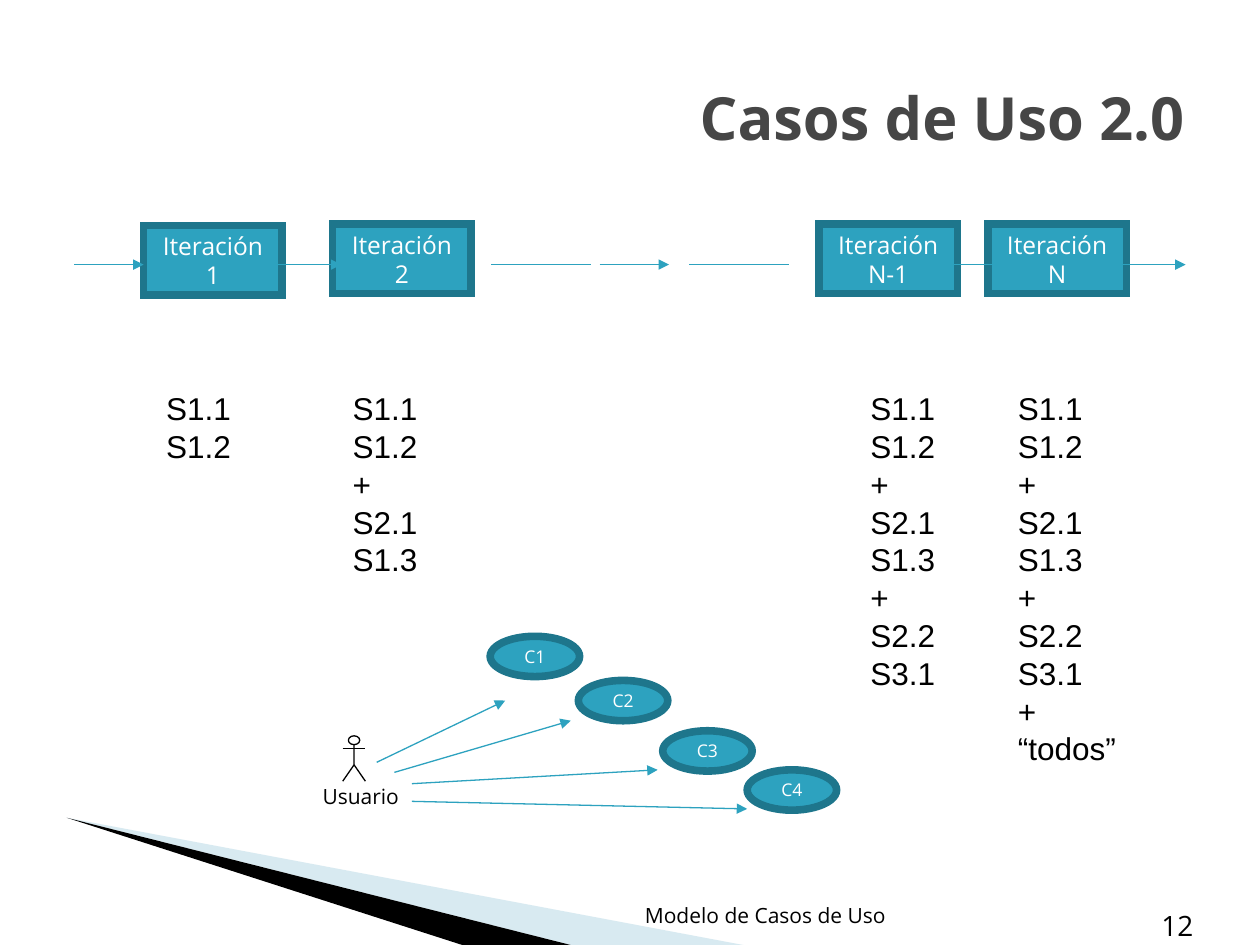
from pptx import Presentation
from pptx.util import Inches, Pt
from pptx.dml.color import RGBColor
from pptx.enum.shapes import MSO_SHAPE as SHAPE, MSO_CONNECTOR as CONN
from pptx.enum.text import PP_ALIGN as AL, MSO_ANCHOR as ANC, MSO_AUTO_SIZE as AUTO
from pptx.oxml.ns import qn
from lxml.etree import SubElement

W, H = 10, 7.5
TEAL, DARK, BLACK, WHITE = "2DA2BF", "1E768C", "000000", "FFFFFF"


def rgb(c):
    return RGBColor.from_string(c)


def write(shape, text, size=18, font="Open Sans", color=BLACK, bold=False,
          align=AL.LEFT, anchor=ANC.TOP, inset=(0.1, 0.05), wrap=True):
    """One paragraph per line; a vertical tab breaks a line inside a paragraph."""
    tf = shape.text_frame
    tf.word_wrap, tf.auto_size, tf.vertical_anchor = wrap, AUTO.NONE, anchor
    tf.margin_left = tf.margin_right = Inches(inset[0])
    tf.margin_top = tf.margin_bottom = Inches(inset[1])
    tf.text = text
    for p in tf.paragraphs:
        p.alignment = align
        for r in p.runs:
            r.font.size, r.font.name, r.font.bold = Pt(size), font, bold
            r.font.color.rgb = rgb(color)


def label(shapes, box, text, **fmt):
    write(shapes.add_textbox(*map(Inches, box)), text, **fmt)


def node(shapes, kind, box, text, size):
    sp = shapes.add_shape(kind, *map(Inches, box))
    sp.shadow.inherit = False
    sp.fill.solid()
    sp.fill.fore_color.rgb = rgb(TEAL)
    sp.line.color.rgb, sp.line.width = rgb(DARK), Pt(4.33)
    # Square corners on the thick border
    SubElement(sp._element.spPr.find(qn("a:ln")), qn("a:miter"), lim="800000")
    write(sp, text, size=size, color=WHITE, align=AL.CENTER, anchor=ANC.MIDDLE)


def line(shapes, start, end, color=TEAL, arrow=False):
    cn = shapes.add_connector(CONN.STRAIGHT, *map(Inches, (*start, *end)))
    cn.line.color.rgb, cn.line.width = rgb(color), Pt(0.75)
    pr = cn._element.spPr
    if arrow:
        SubElement(pr.find(qn("a:ln")), qn("a:tailEnd"), type="triangle")
    SubElement(pr, qn("a:effectLst"))


def outline(shapes, points, close=True):
    first, *rest = [(Inches(x), Inches(y)) for x, y in points]
    fb = shapes.build_freeform(*first)
    fb.add_line_segments(rest, close=close)
    sp = fb.convert_to_shape()
    sp.shadow.inherit = False
    return sp


def wedge(shapes, points, color, alpha=None):
    sp = outline(shapes, points)
    sp.fill.solid()
    sp.fill.fore_color.rgb = rgb(color)
    sp.line.fill.background()
    if alpha:
        clr = sp._element.spPr.find(qn("a:solidFill"))[0]
        SubElement(clr, qn("a:alpha"), val=str(alpha * 1000))


def backdrop(shapes, x, y):
    """Corner wedges that fan out from one point to the slide's bottom edge."""
    wedge(shapes, [(x, y), (5.9, H), (4.53, H)], "9FCBDC", alpha=40)
    wedge(shapes, [(x, y), (4.53, H), (3.67, H)], BLACK)


def timeline(shapes, x, y, w, h):
    """Iteration boxes along an axis, with arrows and gaps between them."""
    for dx, dy, name in ((0.55, 0.01, "1"), (2.05, 0, "2"), (5.91, 0, "N-1"), (7.25, 0, "N")):
        node(shapes, SHAPE.RECTANGLE, (x + dx, y + dy, 1.1, h), f"Iteración\v{name}", 14)
    axis = y + 0.32
    arrow, dash = 0.55, 0.79
    for dx in (0, 1.57, 4.17, 6.85, w - arrow):
        line(shapes, (x + dx, axis), (x + dx + arrow, axis), arrow=True)
    for dx in (3.31, 4.88):
        line(shapes, (x + dx, axis), (x + dx + dash, axis))


def slices(shapes, y):
    """Each column shows the first so many items of the same growing list."""
    items = ["S1.1", "S1.2", "+", "S2.1", "S1.3", "+", "S2.2", "S3.1", "+", "“todos”"]
    for x, w, count in ((1.22, 0.72, 2), (2.7, 0.72, 5), (6.81, 0.72, 8), (7.98, 0.99, 10)):
        label(shapes, (x, y, w, 0.1 + 0.3 * count), "\n".join(items[:count]),
              font="Arial", wrap=False)


def actor(shapes, x, y, w, h):
    """Stick figure in the box, with its name below."""
    g = shapes.add_group_shape().shapes
    mid, neck, hip, foot = x + w / 2, y + 0.07, y + 0.23, y + h
    head = g.add_shape(SHAPE.OVAL, *map(Inches, (x + w / 4, y, w / 2, neck - y)))
    head.shadow.inherit = False
    head.fill.solid()
    head.fill.fore_color.rgb = rgb(WHITE)
    body = outline(g, [(mid, neck), (mid, hip), (x, foot)], close=False)
    body.fill.background()
    for sp in (head, body):
        sp.line.color.rgb, sp.line.width = rgb(BLACK), Pt(0.75)
    line(g, (x, y + 0.1), (x + w, y + 0.1), BLACK)
    line(g, (mid, hip), (x + w, foot), BLACK)
    label(g, (x - 0.16, foot + 0.02, 0.62, 0.2), "Usuario", size=12, inset=(0, 0), wrap=False)


def use_cases(shapes, x, y):
    """Cases stepping down to the right, each reached by an arrow from the actor."""
    for i, (dx, dy) in enumerate(((0, 0), (0.7, 0.35), (1.37, 0.75), (2.04, 1.06)), 1):
        node(shapes, SHAPE.OVAL, (x + dx, y + dy, 0.71, 0.32), f"C{i}", 10)
    actor(shapes, x - 1.17, y + 0.79, 0.18, 0.36)
    for start, end in (((-0.9, 1), (0.12, 0.51)), ((-0.76, 1.08), (0.64, 0.67)),
                       ((-0.62, 1.17), (1.33, 1.06)), ((-0.62, 1.31), (2.04, 1.37))):
        line(shapes, (x + start[0], y + start[1]), (x + end[0], y + end[1]), arrow=True)


def heading(title, box):
    title.left, title.top, title.width, title.height = map(Inches, box)
    write(title, "Casos de Uso 2.0", size=34, color="464646", bold=True,
          align=AL.RIGHT, anchor=ANC.MIDDLE)


def footer(shapes, w, h):
    label(shapes, (7, 7.13, w, h), "12", size=16, align=AL.RIGHT, anchor=ANC.BOTTOM)
    label(shapes, (4.79, 7.01, w, h), "Modelo de Casos de Uso", size=12,
          align=AL.CENTER, anchor=ANC.BOTTOM)


def main():
    prs = Presentation()
    prs.slide_width, prs.slide_height = Inches(W), Inches(H)
    s = prs.slides.add_slide(prs.slide_layouts[5])
    backdrop(s.shapes, 0.53, 6.49)
    heading(s.shapes.title, (0.05 * W, 0.04 * H, 0.9 * W, 1.25))
    footer(s.shapes, 2.57, 0.4)
    timeline(s.shapes, 0.59, 1.78, 8.82, 0.55)
    use_cases(s.shapes, 3.89, 5.05)
    slices(s.shapes, 3.04)
    prs.save("out.pptx")


if __name__ == "__main__":
    main()
